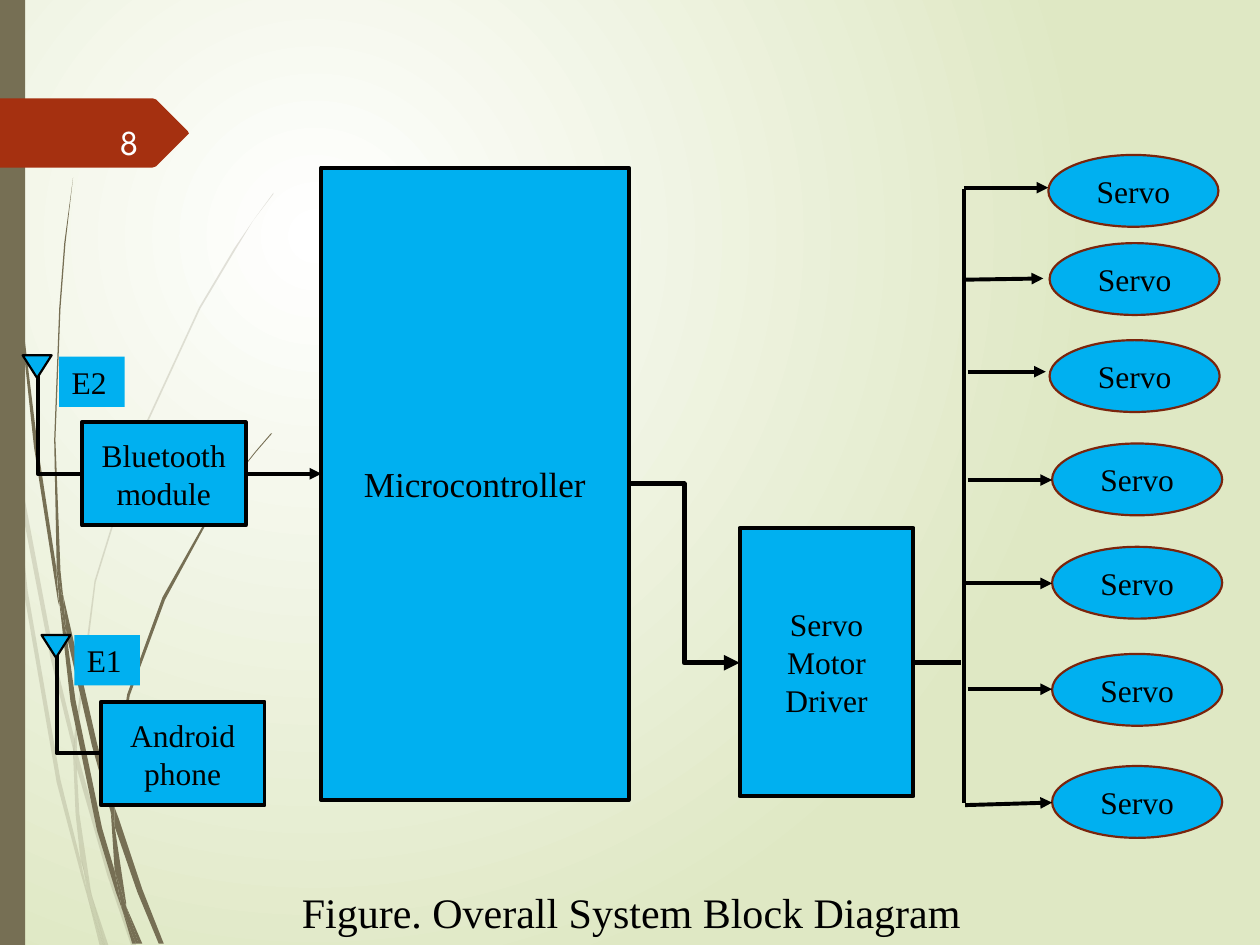
from lxml.etree import SubElement
from pptx import Presentation
from pptx.dml.color import RGBColor
from pptx.enum.shapes import MSO_CONNECTOR, MSO_SHAPE
from pptx.enum.text import MSO_ANCHOR, PP_ALIGN
from pptx.oxml import parse_xml
from pptx.oxml.ns import nsdecls, qn
from pptx.util import Inches, Pt

COLORS = {
    "block": "00B0F0", "ink": "000000", "servo_line": "7A240C",
    "stem": "766F54", "flag": "A53010", "number": "FEFFFF",
    "glow": "FFFFFF", "meadow": "DFE8C4",
}
COLS, ROWS = 10, 7.5
BODY, NUMBER = "Times New Roman", "League Spartan"

PALE_STEMS = [
    [(.08, 3.5), (.06, 3.22), (0, 2.82), (0, 2.99), (.07, 3.44)],
    [(.4, 5.22), (.59, 5.99), (.59, 5.86), (.43, 5.2), (.1, 3.45), (.12, 3.76)],
    [(.64, 6.07), (.61, 5.96), (.61, 6.1), (.85, 6.94), (1.04, 7.5), (1.08, 7.5), (.88, 6.92)],
    [(.83, 7.5), (.86, 7.5), (.73, 7.11)],
    [(.64, 6.83), (.48, 6.19), (.22, 4.69), (.12, 3.76), (.08, 3.5), (.19, 4.7),
     (.45, 6.21), (.64, 6.93), (.7, 7.14), (.69, 7.07)],
    [(.58, 5.99), (.6, 6.46), (.64, 6.83), (.67, 6.92), (.73, 7.11), (.72, 7.06),
     (.63, 6.46), (.61, 6.1), (.61, 6.08)],
    [(.61, 5.84), (.76, 4.62), (1.11, 3.49), (1.59, 2.45), (1.87, 1.98), (2.01, 1.75),
     (2.17, 1.54), (2.17, 1.53), (2.01, 1.75), (1.86, 1.97), (1.58, 2.44), (1.1, 3.48),
     (.75, 4.61), (.59, 5.84), (.59, 5.86), (.61, 5.96)],
    [(.7, 7.14), (.79, 7.5), (.82, 7.5)],
    [(.61, 6.08), (.61, 6.1), (.61, 5.96), (.59, 5.86), (.58, 5.99)],
    [(.67, 6.92), (.65, 6.83), (.69, 7.07), (.7, 7.14), (.82, 7.5), (.83, 7.5), (.73, 7.11)],
]
DARK_STEMS = [
    [(.05, 1.1), (.14, 2.33), (.27, 3.55), (.46, 4.77), (.47, 4.81), (.45, 4.57),
     (.45, 4.53), (.3, 3.55), (.15, 2.32), (.06, 1.09), (.04, .48), (.03, 0), (.02, 0), (.03, .48)],
    [(.73, 5.92), (.88, 6.45), (.88, 6.31), (.77, 5.9), (.5, 4.72), (.53, 5.05)],
    [(.94, 6.49), (.91, 6.41), (.91, 6.56), (1.09, 7.08), (1.26, 7.49), (1.3, 7.49), (1.13, 7.06)],
    [(.91, 6.91), (.81, 6.57), (.6, 5.56), (.53, 5.05), (.47, 4.77), (.56, 5.57),
     (.77, 6.59), (.92, 7.08), (.97, 7.22), (.96, 7.17)],
    [(.5, 4.72), (.48, 4.53), (.44, 3.49), (.48, 2.45), (.52, 1.93), (.58, 1.41),
     (.51, 1.93), (.47, 2.45), (.43, 3.49), (.45, 4.49), (.49, 4.72)],
    [(1.1, 7.49), (1.13, 7.49), (1, 7.19)],
    [(.47, 4.77), (.53, 5.05), (.5, 4.72), (.49, 4.72), (.45, 4.49), (.45, 4.53)],
    [(.91, 6.33), (1.03, 5.52), (1.31, 4.76), (1.69, 4.06), (1.91, 3.74), (2.03, 3.59),
     (2.16, 3.44), (2.15, 3.44), (2.03, 3.58), (1.91, 3.73), (1.68, 4.05), (1.29, 4.74),
     (1.01, 5.51), (.88, 6.31), (.91, 6.41)],
    [(.97, 7.22), (1.05, 7.49), (1.08, 7.49)],
    [(.88, 6.45), (.91, 6.91), (.96, 7.06), (1, 7.19), (1, 7.16), (.91, 6.56), (.9, 6.51)],
    [(.88, 6.45), (.9, 6.51), (.91, 6.56), (.91, 6.41), (.88, 6.31)],
    [(.96, 7.06), (.91, 6.91), (.96, 7.17), (.97, 7.22), (1.08, 7.49), (1.1, 7.49), (1, 7.19)],
]
FLAG = [(1.5, 1.06), (1.24, 1.32), (1.21, 1.33), (0, 1.33), (0, .78), (1.21, .78), (1.24, .79), (1.49, 1.04)]
SERVOS = [
    (8.32, 1.23, (7.65, 1.49), (8.32, 1.49)),
    (8.33, 1.93, (7.66, 2.22), (8.28, 2.21)),
    (8.33, 2.7, (7.68, 2.95), (8.3, 2.95)),
    (8.35, 3.52, (7.68, 3.81), (8.35, 3.81)),
    (8.35, 4.34, (7.66, 4.63), (8.35, 4.63)),
    (8.35, 5.19, (7.68, 5.47), (8.35, 5.47)),
    (8.35, 6.08, (7.66, 6.39), (8.35, 6.37)),
]
ANTENNAS = [(.65, 3.35, "Bluetooth\nmodule", .47, 2.83, "E2"), (.8, 5.57, "Android\nphone", .59, 5.04, "E1")]


class Diagram:
    def __init__(self, prs):
        self.prs = prs
        self.s = prs.slides.add_slide(prs.slide_layouts[6])

    def at(self, col, row):
        return round(self.prs.slide_width * col / COLS), round(self.prs.slide_height * row / ROWS)

    def background(self):
        fill = self.s.background.fill
        fill.gradient()
        stops = "".join(
            f'<a:gs pos="{pos}"><a:srgbClr val="{COLORS[name]}"/></a:gs>'
            for pos, name in ((0, "glow"), (100000, "meadow")))
        new = parse_xml(
            f'<a:gradFill {nsdecls("a")} rotWithShape="1"><a:gsLst>{stops}</a:gsLst><a:path path="circle">'
            '<a:fillToRect l="50000" t="50000" r="100000" b="100000"/></a:path></a:gradFill>')
        old = next(self.s.element.iter(qn("a:gradFill")))
        old.getparent().replace(old, new)

    def paint(self, sp, fill, line=None, width=0):
        sp.shadow.inherit = False
        sp.fill.solid()
        sp.fill.fore_color.rgb = RGBColor.from_string(COLORS[fill])
        if line:
            sp.line.color.rgb = RGBColor.from_string(COLORS[line])
            sp.line.width = Pt(width)
        else:
            sp.line.fill.background()

    def label(self, sp, text, size=18, font=BODY, color="ink", align=PP_ALIGN.CENTER,
              anchor=MSO_ANCHOR.MIDDLE, wrap=True, spacing=None):
        tf = sp.text_frame
        tf.text = text
        tf.word_wrap = wrap
        tf.vertical_anchor = anchor
        for p in tf.paragraphs:
            p.alignment = align
            p.line_spacing = spacing
            p.font.size = Pt(size)
            p.font.name = font
            p.font.color.rgb = RGBColor.from_string(COLORS[color])

    def outline(self, points, fill, opacity=100):
        first, *rest = [self.at(*point) for point in points]
        builder = self.s.shapes.build_freeform(*first)
        builder.add_line_segments(rest, close=True)
        sp = builder.convert_to_shape()
        self.paint(sp, fill)
        if opacity < 100:
            color = next(sp.element.spPr.iter(qn("a:srgbClr")))
            SubElement(color, qn("a:alpha"), val=str(opacity * 1000))

    def shape(self, col, row, cols, rows, kind=MSO_SHAPE.RECTANGLE, fill="block", line="ink", width=2.25):
        sp = self.s.shapes.add_shape(kind, *self.at(col, row), *self.at(cols, rows))
        self.paint(sp, fill, line, width)
        return sp

    def text(self, col, row, cols, rows, text, **style):
        sp = self.s.shapes.add_textbox(*self.at(col, row), *self.at(cols, rows))
        self.label(sp, text, **style)

    def line(self, start, end, arrow=True, width=2.25, bend=None):
        kind = MSO_CONNECTOR.ELBOW if bend else MSO_CONNECTOR.STRAIGHT
        c = self.s.shapes.add_connector(kind, *self.at(*start), *self.at(*end))
        c.line.color.rgb = RGBColor.from_string(COLORS["ink"])
        c.line.width = Pt(width)
        spPr = c.element.spPr
        if bend:
            spPr.find(qn("a:prstGeom")).set("prst", bend)
        if arrow:
            SubElement(spPr.find(qn("a:ln")), qn("a:tailEnd"), type="triangle")
        SubElement(spPr, qn("a:effectLst"))

    def antenna(self, col, row, name, tag_col, tag_row, tag):
        self.label(self.shape(col, row, 1.3, .82), name)
        self.line((col, row + .41), (col - .35, row - .52), arrow=False, bend="bentConnector2")
        mast = self.shape(col - .47, row - .53, .23, .18, MSO_SHAPE.ISOSCELES_TRIANGLE, width=1.25)
        mast.element.spPr.find(qn("a:xfrm")).set("flipV", "1")
        sp = self.shape(tag_col, tag_row, .52, .4, line=None)
        self.label(sp, tag, align=PP_ALIGN.LEFT, anchor=MSO_ANCHOR.TOP, wrap=False)

    def servo(self, col, row, start, end):
        sp = self.shape(col, row, 1.35, .57, MSO_SHAPE.OVAL, line="servo_line", width=1.25)
        self.label(sp, "Servo")
        self.line(start, end)


def main():
    prs = Presentation()
    prs.slide_width, prs.slide_height = Inches(COLS), Inches(ROWS)
    d = Diagram(prs)
    d.background()
    for stem in PALE_STEMS:
        d.outline(stem, "stem", opacity=20)
    for stem in DARK_STEMS:
        d.outline(stem, "stem")
    d.shape(0, 0, .2, ROWS, fill="stem", line=None)
    d.outline(FLAG, "flag")
    d.text(.56, .92, .64, .4, "8", size=20, font=NUMBER, color="number", align=PP_ALIGN.RIGHT)

    d.label(d.shape(2.55, 1.33, 2.44, 5.02), "Microcontroller", size=20)
    d.label(d.shape(5.87, 4.19, 1.38, 2.13), "Servo Motor\nDriver")
    for antenna in ANTENNAS:
        d.antenna(*antenna)
    for servo in SERVOS:
        d.servo(*servo)
    d.line((1.94, 3.76), (2.55, 3.76))
    d.line((4.99, 3.84), (5.87, 5.26), width=3, bend="bentConnector3")
    d.line((7.25, 5.26), (7.63, 5.26), arrow=False, width=3)
    d.line((7.65, 1.5), (7.65, 6.37), arrow=False)
    d.text(0, 6.79, 10.02, .71, "Figure. Overall System Block Diagram", size=24,
           anchor=MSO_ANCHOR.TOP, spacing=1.5)
    prs.save("out.pptx")


if __name__ == "__main__":
    main()
